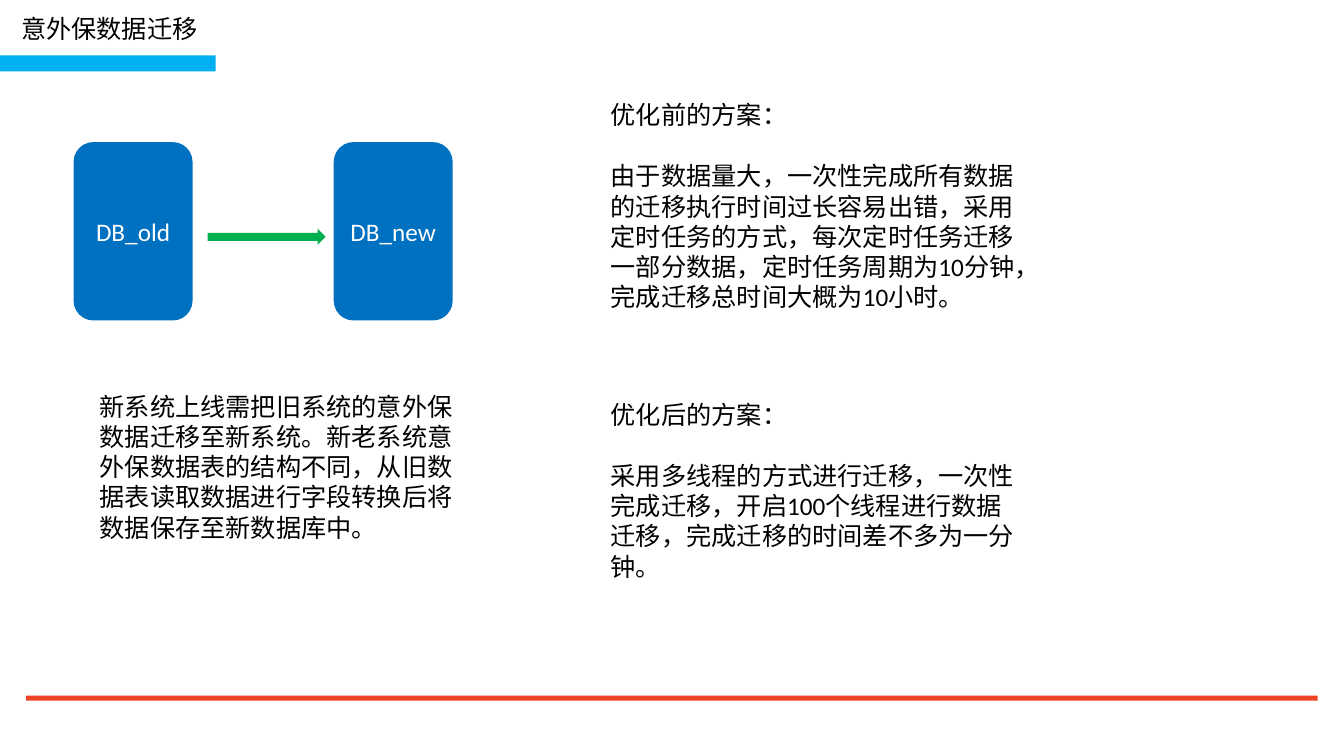
from pptx import Presentation
from pptx import util as u
from pptx.dml import color
from pptx.enum import shapes, text

PX = 9144
FONT = "Calibri"
BLACK, WHITE = "000000", "FFFFFF"
CYAN, BLUE, GREEN, RED = "00B0F0", "0070C0", "00B050", "EF4123"
SHAPE = shapes.MSO_SHAPE
BACKGROUND = "新系统上线需把旧系统的意外保数据迁移至新系统。新老系统意外保数据表的结构不同，从旧数据表读取数据进行字段转换后将数据保存至新数据库中。"
PLANS = [
    ("优化前的方案：", "由于数据量大，一次性完成所有数据的迁移执行时间过长容易出错，采用定时任务的方式，每次定时任务迁移一部分数据，定时任务周期为10分钟，完成迁移总时间大概为10小时。"),
    ("优化后的方案：", "采用多线程的方式进行迁移，一次性完成迁移，开启100个线程进行数据迁移，完成迁移的时间差不多为一分钟。"),
]


def scaled(box):
    """Turn a box in px into EMU lengths."""
    return [u.Emu(length * PX) for length in box]


def paint(format_part, value):
    """Give a fill one solid colour."""
    format_part.solid()
    format_part.fore_color.rgb = color.RGBColor.from_string(value)


def write(frame, paragraphs, ink, align=text.PP_ALIGN.LEFT, gap=0):
    """Write the paragraphs into a frame, with a gap in points between them."""
    for index, words in enumerate(paragraphs):
        para = frame.add_paragraph() if index else frame.paragraphs[0]
        para.alignment = align
        para.space_before = u.Pt(gap if index else 0)
        span = para.add_run()
        span.text = words
        span.font.size = u.Pt(18)
        span.font.name = FONT
        span.font.color.rgb = color.RGBColor.from_string(ink)


def add_block(page, kind, box, fill):
    """Place a plain filled shape without line or shadow."""
    block = page.shapes.add_shape(kind, *scaled(box))
    block.shadow.inherit = False
    paint(block.fill, fill)
    block.line.fill.background()
    return block


def add_note(page, box, paragraphs):
    """Place a wrapped text box, its paragraphs one line apart."""
    frame = page.shapes.add_textbox(*scaled(box)).text_frame
    frame.word_wrap = True
    write(frame, paragraphs, BLACK, gap=22)


def add_header(page, box):
    """Place the title and the bar that closes the header box."""
    left, top, width, height = box
    bar = 16
    title = page.shapes.title
    title.left, title.top, title.width, title.height = scaled((left + 11, top + 8, 197, 40))
    frame = title.text_frame
    frame.auto_size = text.MSO_AUTO_SIZE.NONE
    frame.word_wrap = False
    frame.vertical_anchor = text.MSO_ANCHOR.TOP
    write(frame, ["意外保数据迁移"], BLACK)
    add_block(page, SHAPE.RECTANGLE, (left, top + height - bar, width, bar), CYAN)


def add_migration(page, box):
    """Draw the two databases at the ends of the box and the arrow between them."""
    left, top, width, height = box
    database = 118
    for name, start in (("DB_old", left), ("DB_new", left + width - database)):
        block = add_block(page, SHAPE.ROUNDED_RECTANGLE, (start, top, database, height), BLUE)
        block.text_frame.vertical_anchor = text.MSO_ANCHOR.MIDDLE
        write(block.text_frame, [name], WHITE, text.PP_ALIGN.CENTER)
    add_block(page, SHAPE.RIGHT_ARROW, (left + database + 15, top + 86, 117, 16), GREEN)


def add_plans(page, box):
    """Stack the plans in the box at an equal pitch."""
    left, top, width, height = box
    note = 222
    pitch = (height - note) // (len(PLANS) - 1)
    for index, plan in enumerate(PLANS):
        add_note(page, (left, top + index * pitch, width, note), plan)


def main():
    """Build and save the slide."""
    deck = Presentation()
    deck.slide_width, deck.slide_height = scaled((1333, 750))
    page = deck.slides.add_slide(deck.slide_layouts[5])
    paint(page.background.fill, WHITE)
    add_block(page, SHAPE.RECTANGLE, (26, 690, 1281, 5), RED)
    add_header(page, (0, 0, 214, 71))
    add_migration(page, (73, 141, 376, 177))
    add_note(page, (89, 383, 383, 162), [BACKGROUND])
    add_plans(page, (596, 94, 430, 519))
    deck.save("out.pptx")


if __name__ == "__main__":
    main()
